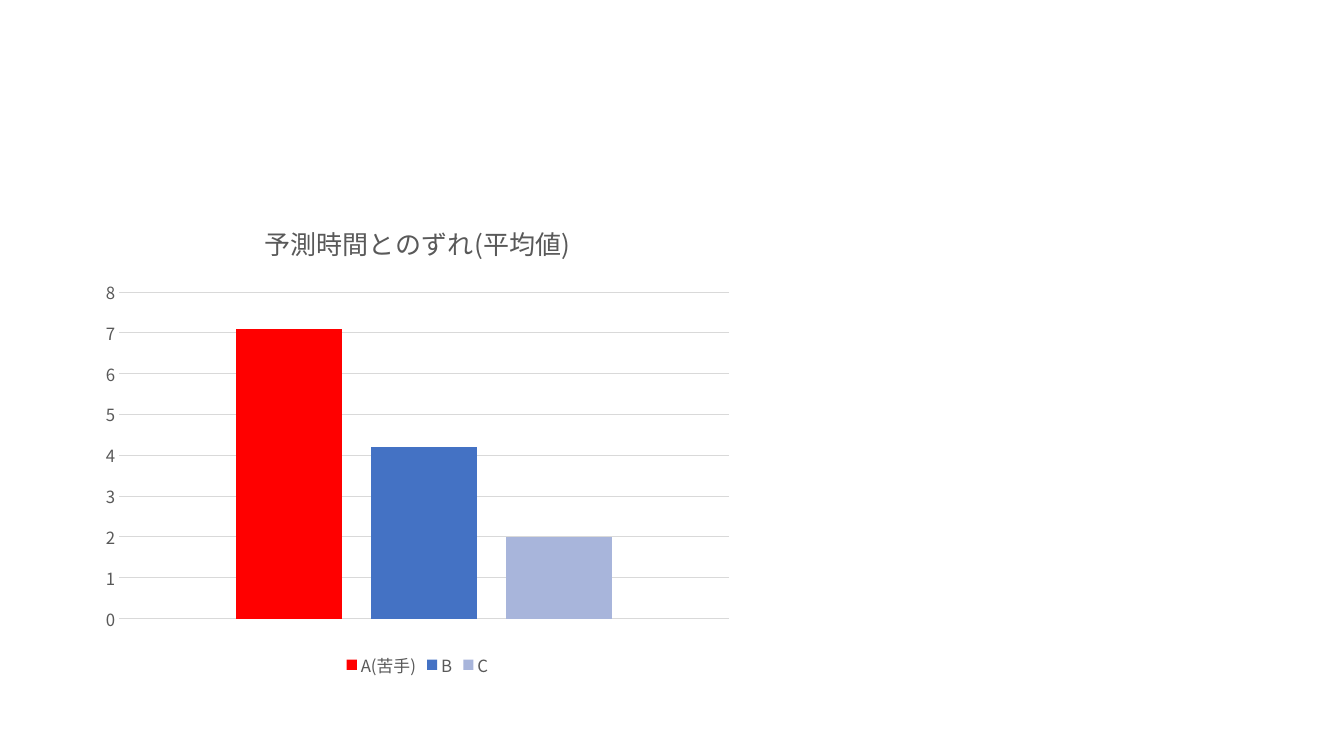
import pptx
import pptx.chart.data
import pptx.dml.color
import pptx.enum.chart
import pptx.oxml
import pptx.oxml.ns
import pptx.util
from pptx.util import Inches

FONT = "Noto Sans CJK JP"
COLORS = {"text": "595959", "grid": "D9D9D9",
          "A(苦手)": "FF0000", "B": "4472C4", "C": "A8B5DB"}
MEAN_ERRORS = {"A(苦手)": 7.1, "B": 4.2, "C": 2}


def rgb(name):
    return pptx.dml.color.RGBColor.from_string(COLORS[name])


def style_font(font, size):
    font.name = FONT
    font.size = pptx.util.Pt(size)
    font.bold = False
    font.color.rgb = rgb("text")


prs = pptx.Presentation()
prs.slide_width, prs.slide_height = Inches(13.33), Inches(7.5)
s = prs.slides.add_slide(prs.slide_layouts[6])

data = pptx.chart.data.CategoryChartData()
data.categories = ["1"]
for group, mean in MEAN_ERRORS.items():
    data.add_series(group, [mean])
chart = s.shapes.add_chart(
    pptx.enum.chart.XL_CHART_TYPE.COLUMN_CLUSTERED,
    Inches(0.92), Inches(2), Inches(6.44), Inches(4.76), data).chart
style_font(chart.font, 12)

# Title and legend
chart.has_title = True
p = chart.chart_title.text_frame.paragraphs[0]
p.text = "予測時間とのずれ(平均値)"
style_font(p.runs[0].font, 18.6)
chart.chart_title.include_in_layout = False
chart.has_legend = True
chart.legend.position = pptx.enum.chart.XL_LEGEND_POSITION.BOTTOM
chart.legend.include_in_layout = False
style_font(chart.legend.font, 12)

# Axes
chart.category_axis.visible = False
axis = chart.value_axis
axis.minimum_scale, axis.maximum_scale, axis.major_unit = 0, 8, 1
axis.major_tick_mark = pptx.enum.chart.XL_TICK_MARK.NONE
axis.minor_tick_mark = pptx.enum.chart.XL_TICK_MARK.NONE
axis.format.line.fill.background()
style_font(axis.tick_labels.font, 12)
axis.has_major_gridlines = True
grid_line = axis.major_gridlines.format.line
grid_line.color.rgb = rgb("grid")
grid_line.width = pptx.util.Pt(0.75)

# Columns
plot = chart.plots[0]
plot.vary_by_categories = False
plot.gap_width, plot.overlap = 219, -27
for series in plot.series:
    series.format.fill.solid()
    series.format.fill.fore_color.rgb = rgb(series.name)

# Japanese characters take their typeface from a:ea
for latin in list(chart.element.iter(pptx.oxml.ns.qn("a:latin"))):
    latin.addnext(pptx.oxml.parse_xml(
        f'<a:ea {pptx.oxml.ns.nsdecls("a")} typeface="{FONT}"/>'))

prs.save("out.pptx")
